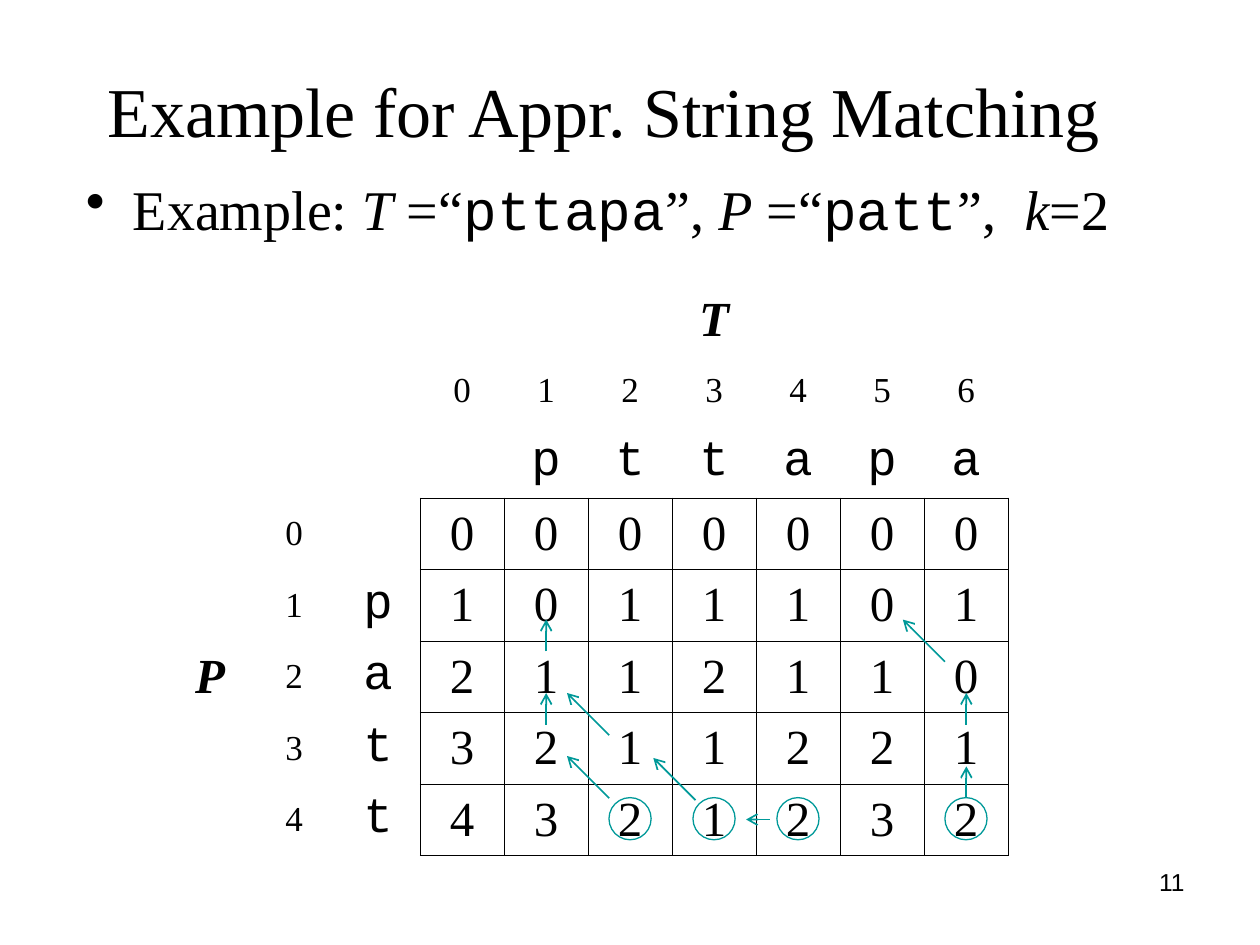
from lxml import etree
from pptx import Presentation
from pptx import util as u
from pptx.dml import color
from pptx.enum import shapes, text
from pptx.oxml import ns

SERIF, MONO, SANS = "Times New Roman", "Courier New", "Arial"
BLACK, TEAL = "000000", "009999"
COL, ROW = 1.693, 1.438
HEAD_COLS, HEAD_ROWS = 3, 3
T, P = "pttapa", "patt"
DISTANCES = ["0000000", "1011101", "2112110", "3211221", "4321232"]
CIRCLED_COLS = [2, 3, 4, 6]
UP, DIAGONAL, LEFT = (0, -0.64), (-0.85, -0.85), (-0.48, 0)
STEPS = [
    (15.66, 7.62, DIAGONAL),
    (16.09, 10.37, UP),
    (16.09, 8.89, UP),
    (7.62, 8.89, UP),
    (7.62, 7.41, UP),
    (10.63, 10.41, DIAGONAL),
    (8.89, 10.37, DIAGONAL),
    (8.89, 9.1, DIAGONAL),
    (12.13, 10.8, LEFT),
]


def rgb(value):
    return color.RGBColor.from_string(value)


def add_run(p, content, size=28, font=SERIF, bold=False, italic=False, hex_color=BLACK):
    r = p.add_run()
    r.text = content
    r.font.size, r.font.name = u.Pt(size), font
    r.font.bold, r.font.italic = bold, italic
    r.font.color.rgb = rgb(hex_color)


def text_box(s, box, align, anchor=text.MSO_ANCHOR.TOP):
    tf = s.shapes.add_textbox(*map(u.Cm, box)).text_frame
    tf.word_wrap = True
    tf.vertical_anchor = anchor
    p = tf.paragraphs[0]
    p.alignment = align
    return p


def add_title(s, box):
    p = text_box(s, box, text.PP_ALIGN.CENTER, text.MSO_ANCHOR.BOTTOM)
    add_run(p, "Example for Appr. String Matching", size=40)


def add_example(s, box):
    p = text_box(s, box, text.PP_ALIGN.LEFT)
    pPr = p._p.get_or_add_pPr()
    pPr.set("marL", str(u.Cm(0.95)))
    pPr.set("indent", str(u.Cm(-0.95)))
    etree.SubElement(pPr, ns.qn("a:buChar")).set("char", "•")
    for content, style in [
        ("Example: ", {}), ("T", {"italic": True}),
        (" =“", {}), (T, {"font": MONO}),
        ("”, ", {}), ("P", {"italic": True}),
        (" =“", {}), (P, {"font": MONO}),
        ("”,  ", {}), ("k", {"italic": True}), ("=2", {}),
    ]:
        add_run(p, content, size=32, **style)


def set_borders(cell, row, col):
    in_rows, in_cols = row >= HEAD_ROWS, col >= HEAD_COLS
    visible = {
        "L": in_rows and in_cols,
        "R": in_rows and col >= HEAD_COLS - 1,
        "T": in_rows and in_cols,
        "B": in_cols and row >= HEAD_ROWS - 1,
    }
    tcPr = cell._tc.get_or_add_tcPr()
    for side, shown in visible.items():
        ln = etree.SubElement(tcPr, ns.qn("a:ln" + side), w=str(u.Pt(0.45)))
        if shown:
            fill = etree.SubElement(ln, ns.qn("a:solidFill"))
            etree.SubElement(fill, ns.qn("a:srgbClr"), val=BLACK)
        else:
            etree.SubElement(ln, ns.qn("a:noFill"))


def cell_text(table, row, col, content, **style):
    cell = table.cell(row, col)
    p = cell.text_frame.paragraphs[0]
    p.alignment = text.PP_ALIGN.CENTER
    add_run(p, content, **style)


def add_matrix(s, left, top):
    rows, cols = HEAD_ROWS + len(DISTANCES), HEAD_COLS + len(DISTANCES[0])
    table = s.shapes.add_table(
        rows, cols, u.Cm(left), u.Cm(top), u.Cm(COL * cols), u.Cm(ROW * rows)
    ).table
    table.first_row = table.horz_banding = False
    for column in table.columns:
        column.width = u.Cm(COL)
    for i, line in enumerate(table.rows):
        line.height = u.Cm(ROW)
        for j, cell in enumerate(line.cells):
            set_borders(cell, i, j)
            cell.fill.background()
            cell.vertical_anchor = text.MSO_ANCHOR.MIDDLE
    table.cell(0, HEAD_COLS).merge(table.cell(0, cols - 1))
    table.cell(HEAD_ROWS, 0).merge(table.cell(rows - 1, 0))
    cell_text(table, 0, HEAD_COLS, "T", bold=True, italic=True)
    cell_text(table, HEAD_ROWS, 0, "P", bold=True, italic=True)
    for j in range(len(T) + 1):
        cell_text(table, 1, HEAD_COLS + j, str(j), size=20)
    for j, letter in enumerate(T, 1):
        cell_text(table, 2, HEAD_COLS + j, letter, font=MONO)
    for i, letter in enumerate(P, 1):
        cell_text(table, HEAD_ROWS + i, 2, letter, font=MONO)
    for i, values in enumerate(DISTANCES):
        cell_text(table, HEAD_ROWS + i, 1, str(i), size=20)
        for j, value in enumerate(values):
            cell_text(table, HEAD_ROWS + i, HEAD_COLS + j, value)


def add_circle(s, x, y, size=0.85):
    sp = s.shapes.add_shape(
        shapes.MSO_SHAPE.OVAL,
        u.Cm(x - size / 2), u.Cm(y - size / 2), u.Cm(size), u.Cm(size),
    )
    sp.shadow.inherit = False
    sp.fill.background()
    sp.line.color.rgb = rgb(TEAL)
    sp.line.width = u.Pt(0.75)


def add_arrow(s, x, y, dx, dy):
    line = s.shapes.add_connector(
        shapes.MSO_CONNECTOR.STRAIGHT, u.Cm(x), u.Cm(y), u.Cm(x + dx), u.Cm(y + dy)
    )
    line.line.color.rgb = rgb(TEAL)
    line.line.width = u.Pt(1)
    etree.SubElement(line.line._get_or_add_ln(), ns.qn("a:tailEnd"), type="arrow")
    etree.SubElement(line._element.spPr, ns.qn("a:effectLst"))


def add_traceback(s, left, top):
    last_row = top + (HEAD_ROWS + len(DISTANCES) - 0.5) * ROW
    for col in CIRCLED_COLS:
        add_circle(s, left + (HEAD_COLS + col + 0.5) * COL, last_row)
    for x, y, (dx, dy) in STEPS:
        add_arrow(s, left + x, top + y, dx, dy)


def add_page_number(s, box):
    add_run(text_box(s, box, text.PP_ALIGN.RIGHT), "11", size=14, font=SANS)


def main():
    prs = Presentation()
    prs.slide_width, prs.slide_height = u.Cm(25.4), u.Cm(19.05)
    s = prs.slides.add_slide(prs.slide_layouts[6])
    add_example(s, (1.48, 3.39, 22.44, 13.97))
    add_title(s, (1.27, 1.06, 21.8, 2.12))
    add_matrix(s, 3.39, 5.72)
    add_traceback(s, 3.39, 5.72)
    add_page_number(s, (18.2, 17.36, 5.93, 1.32))
    prs.save("out.pptx")


if __name__ == "__main__":
    main()
